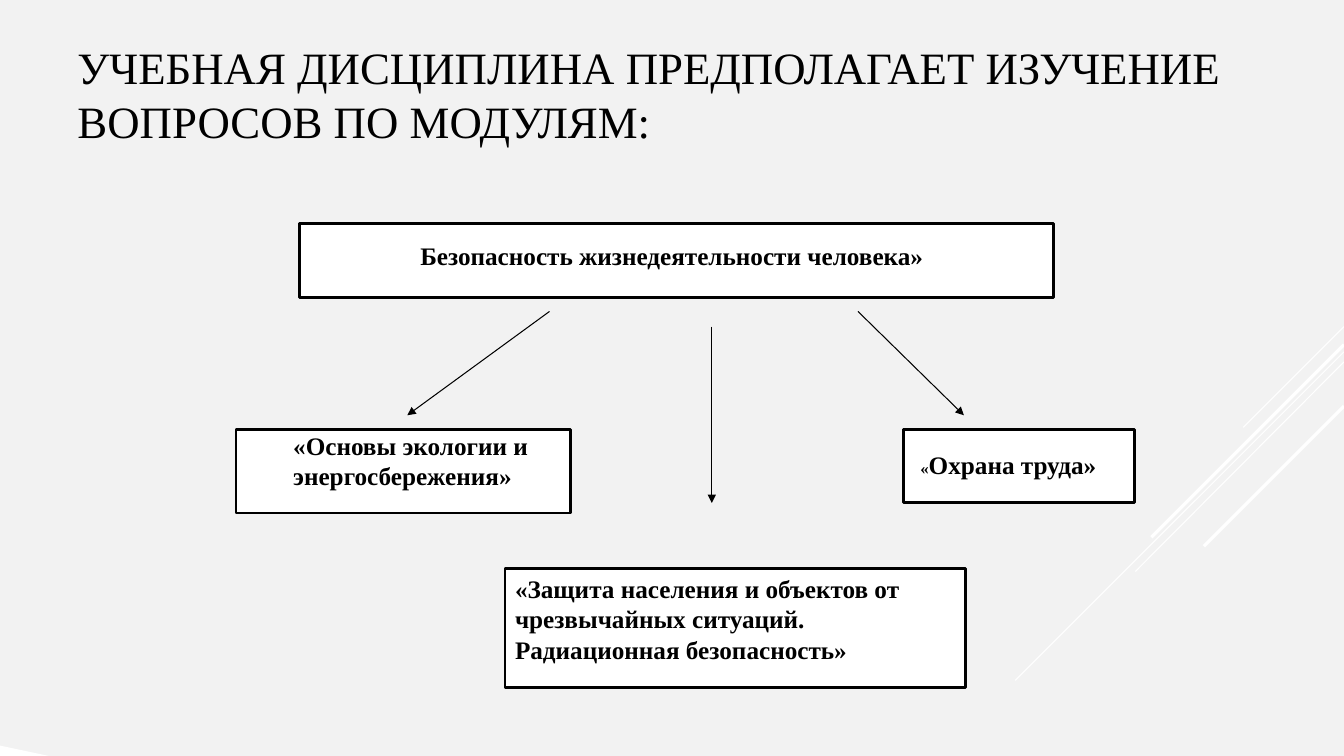
"""Builds a slide with the modules of the safety course as a diagram."""
from lxml.etree import SubElement
from pptx import Presentation
from pptx.dml.color import RGBColor
from pptx.enum.shapes import MSO_CONNECTOR, MSO_SHAPE
from pptx.enum.text import MSO_ANCHOR, PP_ALIGN
from pptx.oxml.ns import qn
from pptx.util import Inches, Pt

BLACK = RGBColor(0x00, 0x00, 0x00)
WHITE = RGBColor(0xFF, 0xFF, 0xFF)
LIGHT_GRAY = RGBColor(0xF2, 0xF2, 0xF2)
FONT = "Times New Roman"


def add_line(start, end, color, width, arrow=False):
    """Draw a straight line, with an arrowhead at its end if asked."""
    connector = slide.shapes.add_connector(
        MSO_CONNECTOR.STRAIGHT, *map(Inches, start + end))
    connector.line.color.rgb = color
    connector.line.width = Pt(width)
    if arrow:
        SubElement(connector.line._get_or_add_ln(), qn("a:tailEnd"), type="triangle")
    SubElement(connector._element.spPr, qn("a:effectLst"))


def write_text(shape, runs, bold=True, anchor=MSO_ANCHOR.TOP):
    """Fill a shape with one left-aligned paragraph of (text, size) runs."""
    frame = shape.text_frame
    frame.word_wrap = True
    frame.vertical_anchor = anchor
    paragraph = frame.paragraphs[0]
    paragraph.alignment = PP_ALIGN.LEFT
    for text, size in runs:
        run = paragraph.add_run()
        run.text = text
        run.font.name = FONT
        run.font.size = Pt(size)
        run.font.bold = bold
        run.font.color.rgb = BLACK


presentation = Presentation()
presentation.slide_width = Inches(13.33)
presentation.slide_height = Inches(7.5)
slide = presentation.slides.add_slide(presentation.slide_layouts[6])

background = slide.background.fill
background.gradient()
background.gradient_angle = 258
for stop, color in zip(background.gradient_stops, (LIGHT_GRAY, WHITE)):
    stop.color.rgb = color
    stop.position = 0.99

rays = [
    (3.24, 12.33, 4.24, 0.75),
    (3.49, 10.07, 6.75, 0.75),
    (3.59, 11.26, 5.67, 0.75),
    (3.42, 11.42, 5.33, 2.25),
    (4.03, 11.94, 5.42, 2.25),
]
for edge_y, end_x, end_y, width in rays:
    add_line((13.33, edge_y), (end_x, end_y), WHITE, width)

title = slide.shapes.add_textbox(Inches(0.67), Inches(0.3), Inches(12), Inches(1.25))
write_text(title, [("УЧЕБНАЯ ДИСЦИПЛИНА ПРЕДПОЛАГАЕТ ИЗУЧЕНИЕ ВОПРОСОВ ПО МОДУЛЯМ:", 32)],
           bold=False, anchor=MSO_ANCHOR.MIDDLE)

module_boxes = []
for place in [
    (2.97, 2.22, 7.48, 0.73),
    (2.34, 4.26, 3.32, 0.83),
    (8.96, 4.26, 2.29, 0.73),
    (5.01, 5.64, 4.57, 1.18),
]:
    box = slide.shapes.add_shape(MSO_SHAPE.RECTANGLE, *map(Inches, place))
    box.shadow.inherit = False
    box.fill.solid()
    box.fill.fore_color.rgb = WHITE
    box.line.color.rgb = BLACK
    box.line.width = Pt(2)
    module_boxes.append(box)
write_text(module_boxes[-1], [
    ("«Защита населения и объектов от чрезвычайных ситуаций. Радиационная безопасность»", 18)])

for start, end in [
    ((5.45, 3.09), (4.04, 4.12)),
    ((7.06, 3.24), (7.06, 4.99)),
    ((8.51, 3.09), (9.56, 4.12)),
]:
    add_line(start, end, BLACK, 0.75, arrow=True)

labels = [
    ((4.07, 2.33, 5.9, 0.58), [("Безопасность жизнедеятельности человека»", 18)]),
    ((2.81, 4.22, 3.04, 0.81), [("«Основы экологии и энергосбережения»", 18)]),
    ((9.03, 4.41, 2.4, 0.44), [("«", 12), ("Охрана труда»", 18)]),
]
for place, runs in labels:
    label = slide.shapes.add_textbox(*map(Inches, place))
    write_text(label, runs)

presentation.save("out.pptx")
